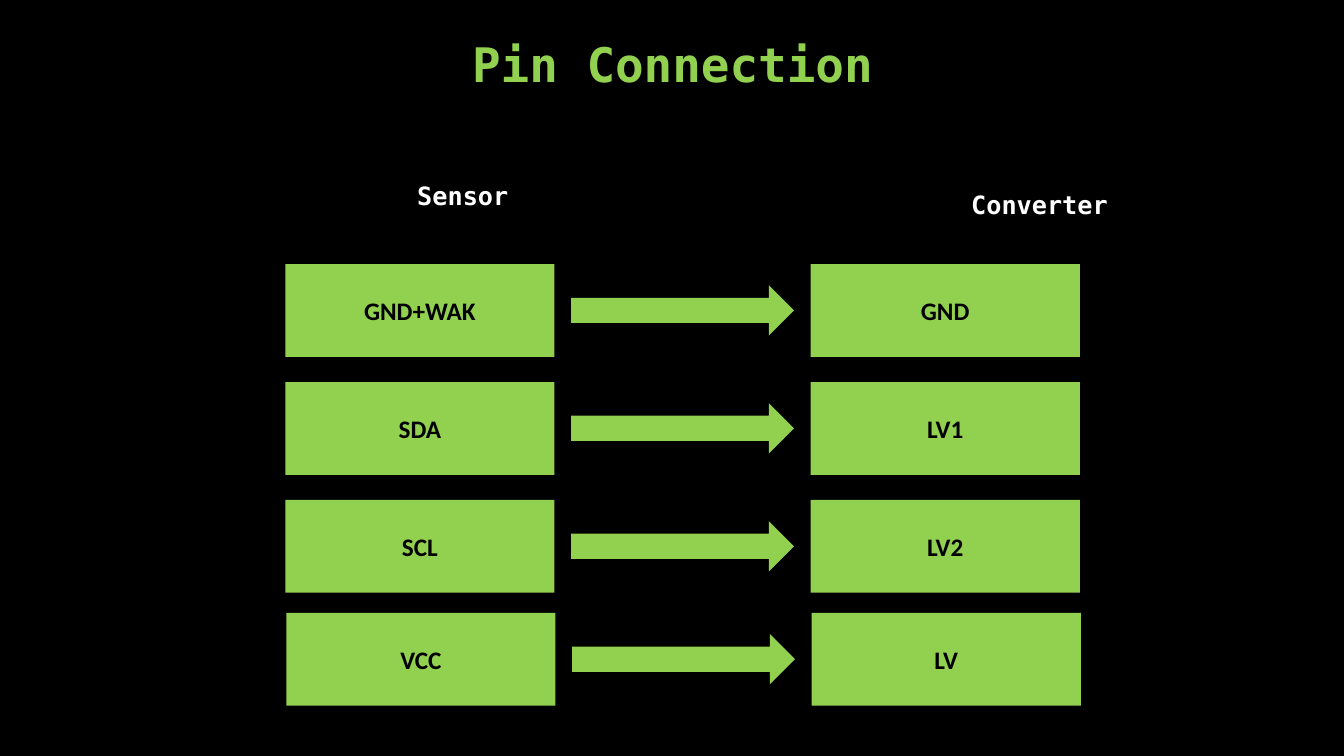
"""Build the pin connection slide: sensor pins wired to converter pins."""
from pptx import Presentation
from pptx.dml.color import RGBColor
from pptx.enum.shapes import MSO_SHAPE as Kind
from pptx.enum.text import MSO_ANCHOR as Anchor, PP_ALIGN as Align
from pptx.util import Inches, Pt

TITLE = "Pin Connection"
HEADS = [("Sensor", 3.34, 1.74), ("Converter", 9.06, 1.83)]
ROWS = [
    ("GND+WAK", "GND", 2.83, 2.62),
    ("SDA", "LV1", 2.83, 3.79),
    ("SCL", "LV2", 2.83, 4.96),
    ("VCC", "LV", 2.84, 6.08),
]
COLORS = {"back": "000000", "green": "92D050", "white": "FFFFFF"}
MONO, SANS = "DejaVu Sans Mono", "Calibri"
PIN_W, PIN_H = 2.67, 0.92
ARROW_W, ARROW_H = 2.21, 0.5
STEP = 5.21


def color(name):
    return RGBColor.from_string(COLORS[name])


def write(shape, text, size, face, tone, anchor=Anchor.MIDDLE):
    frame = shape.text_frame
    frame.text = text
    frame.word_wrap = True
    frame.vertical_anchor = anchor
    line = frame.paragraphs[0]
    line.alignment = Align.CENTER
    font = line.runs[0].font
    font.size, font.name, font.bold = Pt(size), face, True
    font.color.rgb = color(tone)
    return line


def block(slide, kind, left, top, width, height):
    shape = slide.shapes.add_shape(
        kind, Inches(left), Inches(top), Inches(width), Inches(height))
    shape.shadow.inherit = False
    shape.fill.solid()
    shape.fill.fore_color.rgb = color("green")
    shape.line.fill.background()
    return shape


def main():
    deck = Presentation()
    deck.slide_width, deck.slide_height = Inches(13.33), Inches(7.5)
    slide = deck.slides.add_slide(deck.slide_layouts[5])
    slide.background.fill.solid()
    slide.background.fill.fore_color.rgb = color("back")

    title = slide.shapes.title
    title.left, title.top = Inches(4.46), Inches(0.36)
    title.width, title.height = Inches(4.42), Inches(0.77)
    write(title, TITLE, 34, MONO, "green", Anchor.TOP).line_spacing = 0.9

    for text, left, top in HEADS:
        head = slide.shapes.add_textbox(
            Inches(left), Inches(top), Inches(2.5), Inches(0.4))
        write(head, text, 18, MONO, "white", Anchor.TOP)

    for source, target, left, top in ROWS:
        for pin, x in ((source, left), (target, left + STEP)):
            box = block(slide, Kind.RECTANGLE, x, top, PIN_W, PIN_H)
            write(box, pin, 18, SANS, "back")
        block(slide, Kind.RIGHT_ARROW, left + (PIN_W + STEP - ARROW_W) / 2,
              top + (PIN_H - ARROW_H) / 2, ARROW_W, ARROW_H)

    deck.save("out.pptx")


if __name__ == "__main__":
    main()
